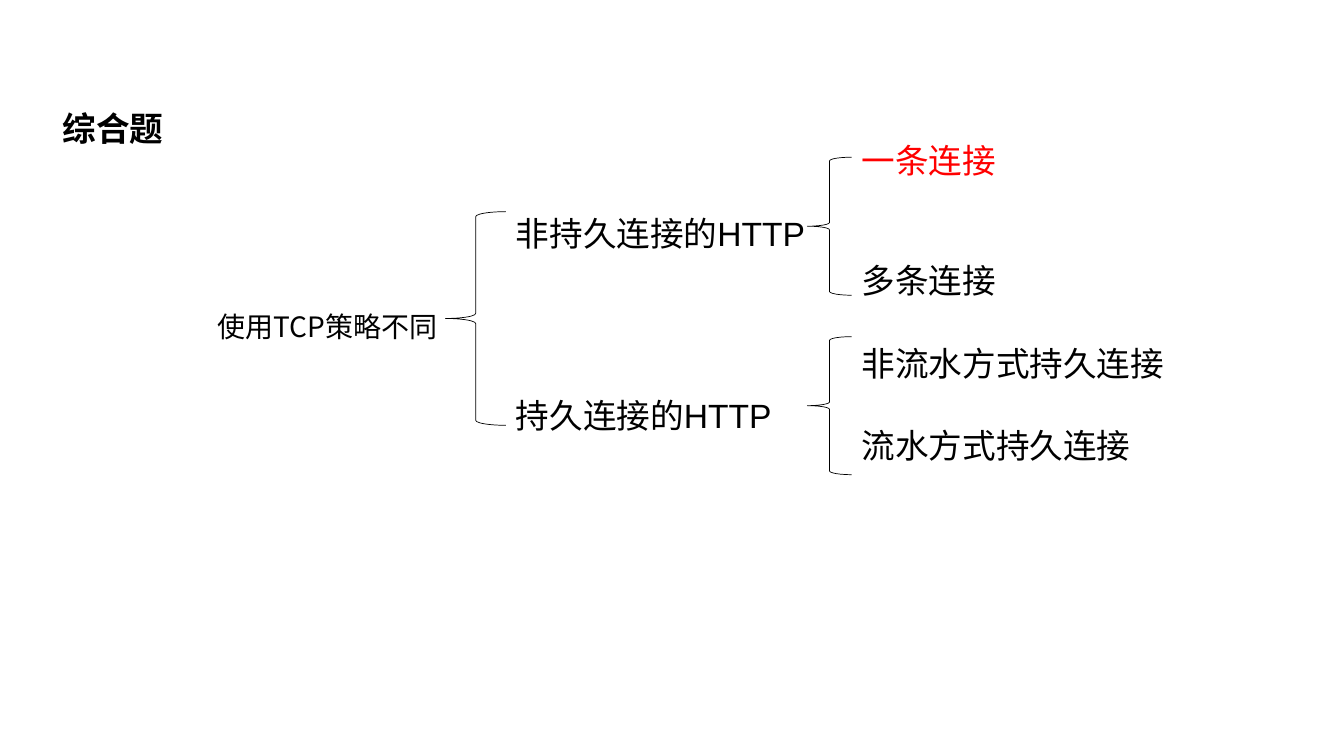
"""Build a slide that sorts HTTP connections by their use of TCP."""
from pptx import Presentation
from pptx.dml.color import RGBColor
from pptx.enum.shapes import MSO_SHAPE
from pptx.enum.text import MSO_ANCHOR, PP_ALIGN
from pptx.util import Pt

BRACE = MSO_SHAPE.LEFT_BRACE
TOP = MSO_ANCHOR.TOP
LEFT = PP_ALIGN.LEFT
HUES = {"ink": "000000", "red": "FF0000"}
SANS = "Noto Sans CJK SC"


def hue(key):
    """Return the named colour."""
    return RGBColor.from_string(HUES[key])


def assign(item, values):
    """Set each attribute of the item from a dict."""
    for key, value in values.items():
        setattr(item, key, value)


def write(frame, lines, font, size, pitch, gap=0, bold=False, pad=(7.2, 3.6)):
    """Fill a text frame with (text, colour) lines at a fixed pitch."""
    side, edge = map(Pt, pad)
    assign(frame, {"word_wrap": True, "vertical_anchor": TOP,
                   "margin_left": side, "margin_right": side,
                   "margin_top": edge, "margin_bottom": edge})
    for i, (text, color) in enumerate(lines):
        para = frame.paragraphs[0] if i == 0 else frame.add_paragraph()
        assign(para, {"alignment": LEFT, "line_spacing": Pt(pitch),
                      "space_before": Pt(gap if i else 0)})
        run = para.add_run()
        run.text = text
        assign(run.font, {"name": font, "size": Pt(size), "bold": bold})
        run.font.color.rgb = hue(color)


def add_title(slide, box, text):
    """Place and format the slide title."""
    title = slide.shapes.title
    assign(title, dict(zip(("left", "top", "width", "height"), map(Pt, box))))
    write(title.text_frame, [(text, "ink")], SANS, 24, 45, bold=True,
          pad=(8.64, 4.32))


def add_label(slide, box, lines, **style):
    """Add a text box with one branch of labels."""
    label = slide.shapes.add_textbox(*map(Pt, box))
    write(label.text_frame, lines, **style)


def add_brace(slide, box):
    """Add a thin left brace."""
    brace = slide.shapes.add_shape(BRACE, *map(Pt, box))
    brace.shadow.inherit = False
    brace.fill.background()
    brace.line.color.rgb = hue("ink")
    brace.line.width = Pt(0.5)


def main():
    """Build and save the slide."""
    deck = Presentation()
    assign(deck, {"slide_width": Pt(960), "slide_height": Pt(540)})
    slide = deck.slides.add_slide(deck.slide_layouts[5])
    add_title(slide, (36, 56.2, 135.4, 47.5), "综合题")
    add_label(slide, (148.3, 203.8, 182.9, 39.6),
              [("使用TCP策略不同", "ink")], font=SANS, size=20, pitch=37.5)
    add_label(slide, (361.4, 134.6, 247, 181.4),
              [("非持久连接的HTTP", "ink"), ("持久连接的HTTP", "ink")],
              font="Arial", size=24, pitch=43, gap=86.4)
    add_label(slide, (608.4, 82.1, 247, 138.2),
              [("一条连接", "red"), ("多条连接", "ink")],
              font="Arial", size=24, pitch=43, gap=43)
    add_label(slide, (608.4, 240.5, 232.6, 94.3),
              [("非流水方式持久连接", "ink"), ("流水方式持久连接", "ink")],
              font=SANS, size=24, pitch=30, gap=28)
    add_brace(slide, (318.2, 151.2, 43.2, 152.6))
    for top in (112.3, 240.5):
        add_brace(slide, (576.7, top, 31.7, 98.6))
    deck.save("out.pptx")


if __name__ == "__main__":
    main()
